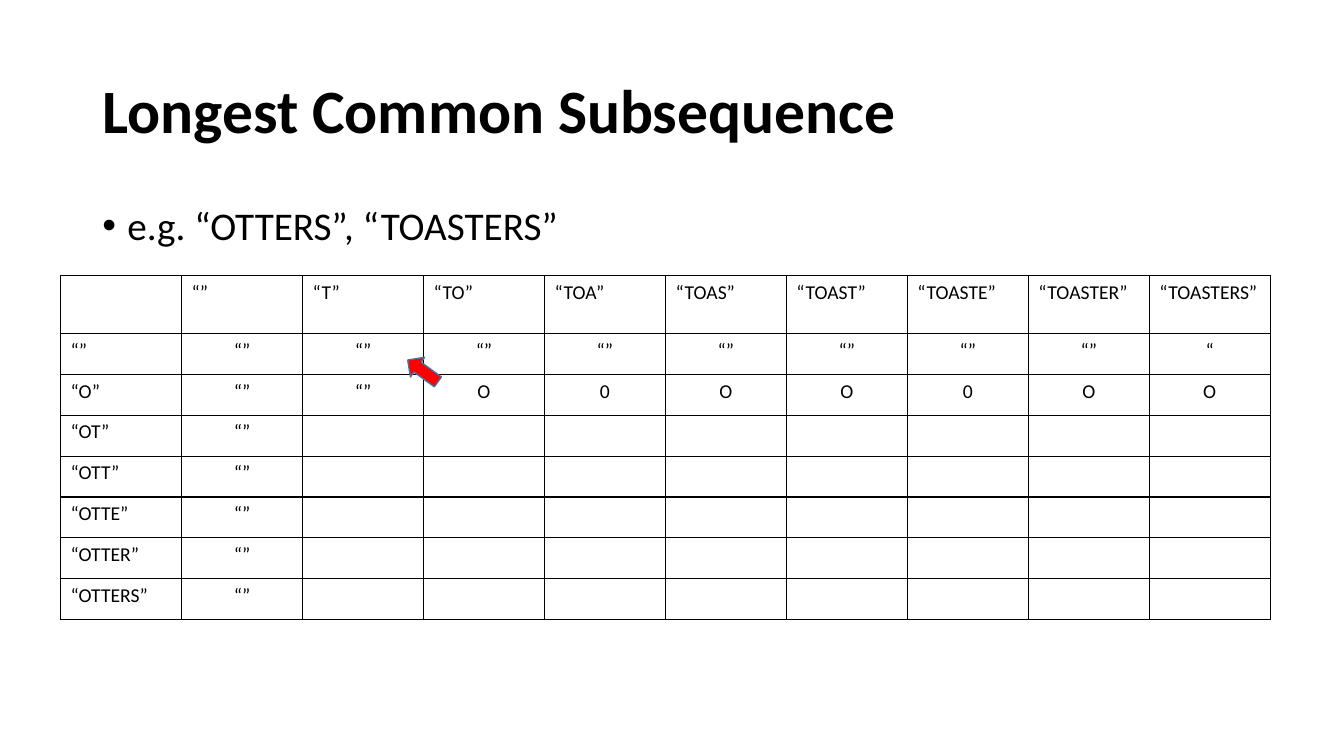
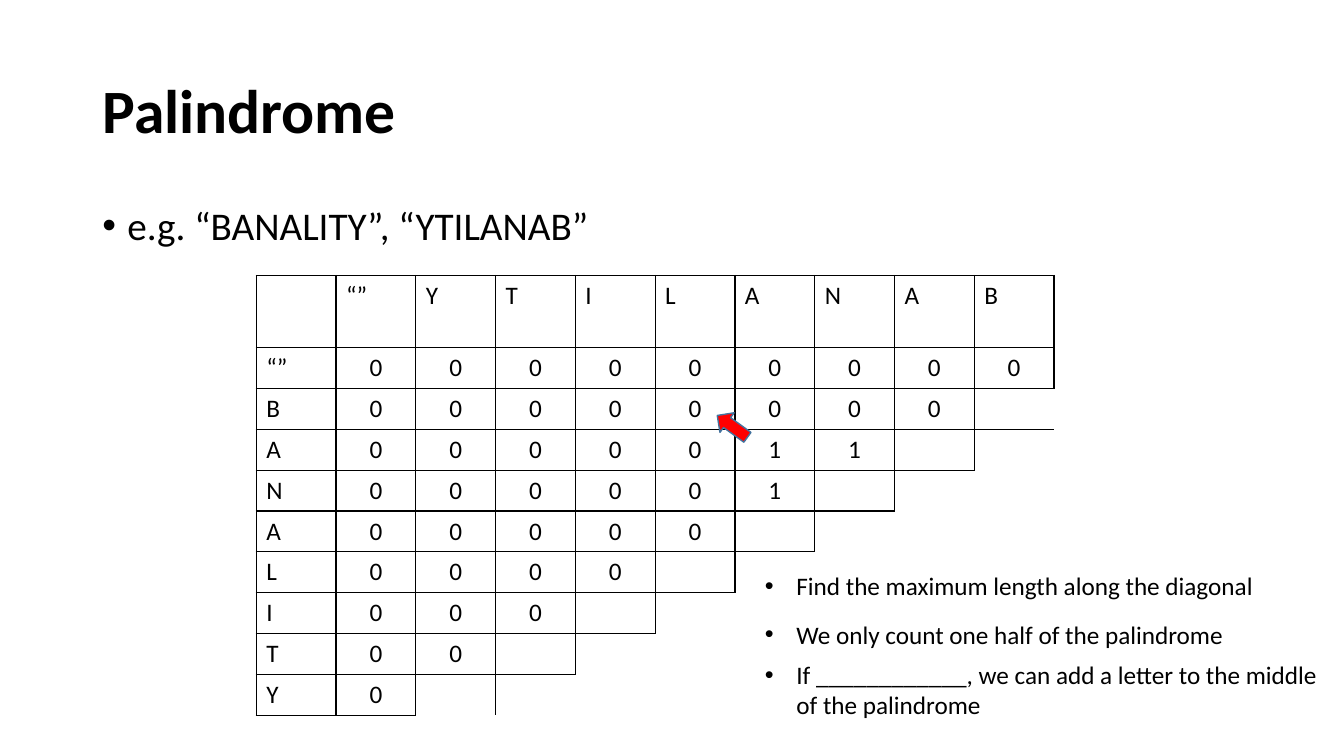
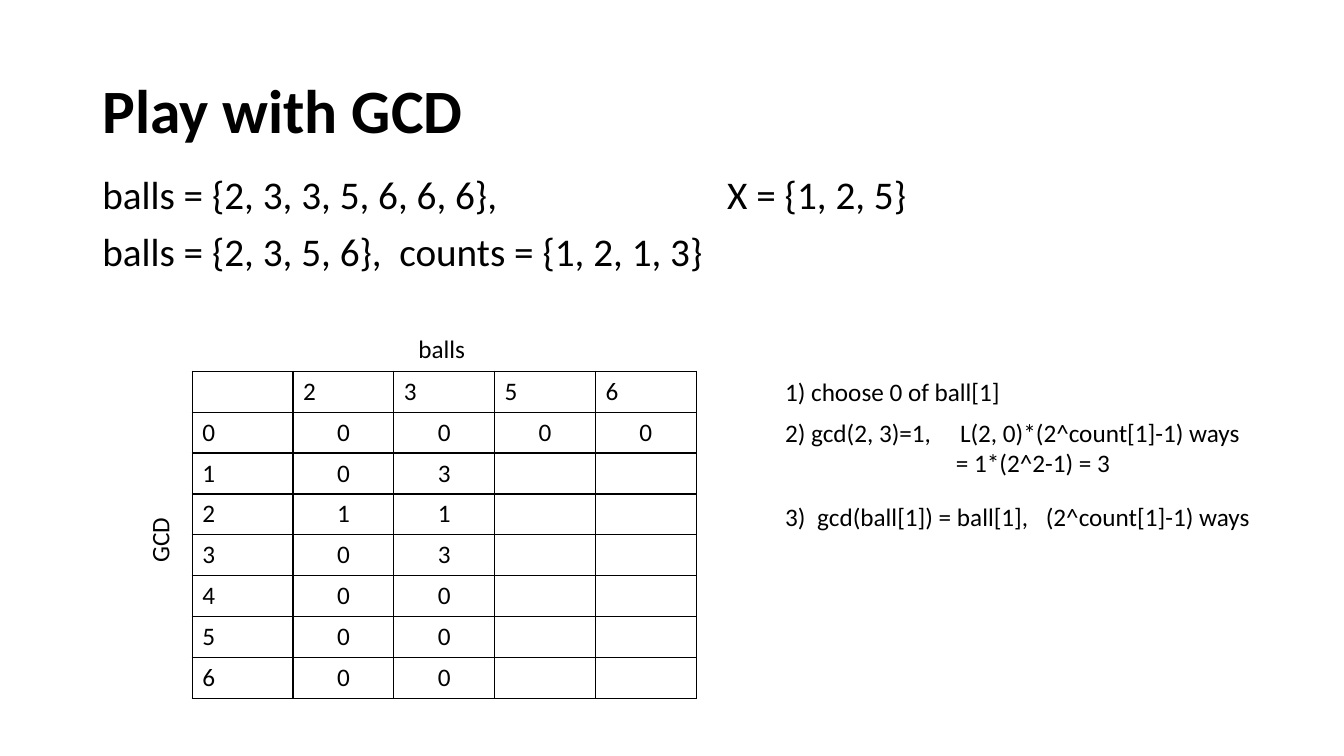
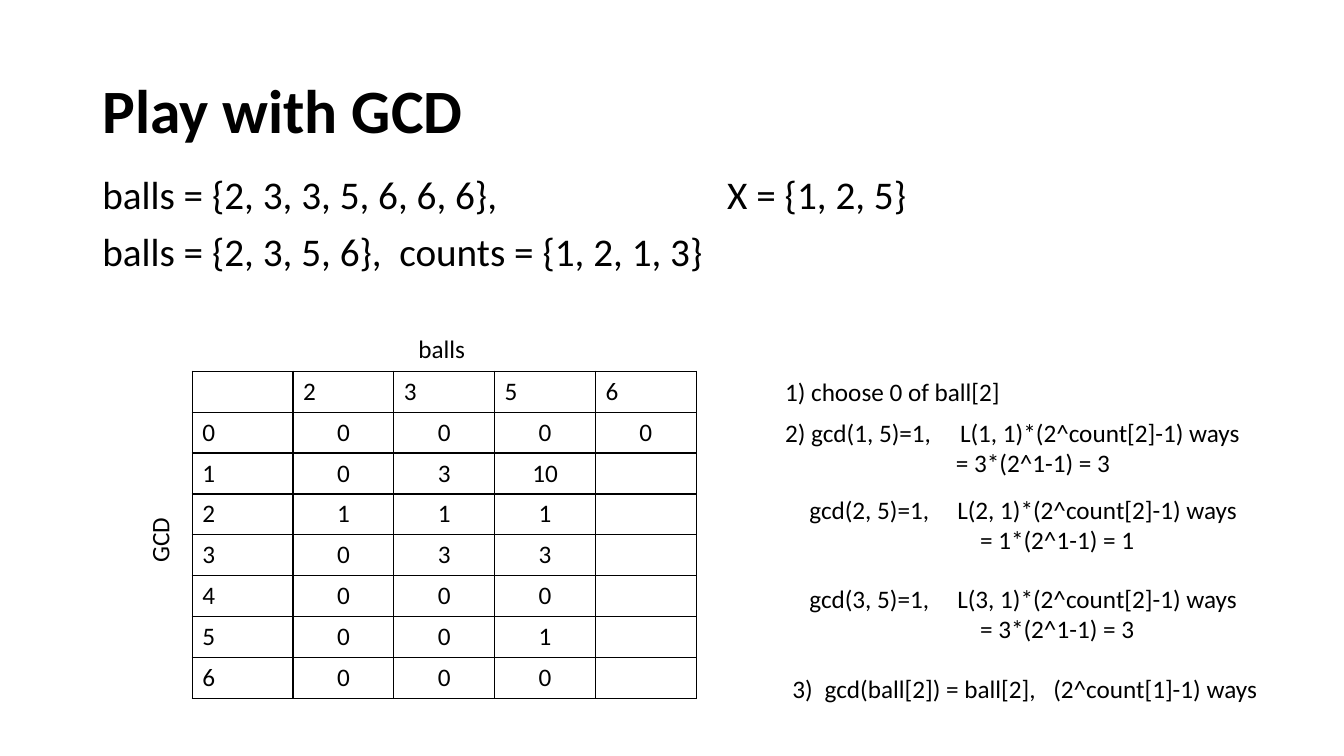
from lxml import etree
from pptx import Presentation
from pptx.dml.color import RGBColor
from pptx.enum import shapes, text
from pptx.oxml.ns import qn
from pptx.util import Pt

BLACK = RGBColor(0x00, 0x00, 0x00)
RED = RGBColor(0xFF, 0x00, 0x00)
ARROW_EDGE = RGBColor(0x43, 0x73, 0x9E)
FONT = "Calibri"
PLAIN_TABLE_STYLE = "{2D5ABB26-0587-4C30-8999-92F81FD0307C}"
TITLE_ONLY = 5
MARGIN = 66
ROW_HEIGHT = 29.2
EMPTY = "“”"


def place(shape, left, top, width, height):
    shape.left, shape.top = Pt(left), Pt(top)
    shape.width, shape.height = Pt(width), Pt(height)


def style(paragraph, size, bold=False):
    font = paragraph.font
    font.name, font.size, font.bold = FONT, Pt(size), bold
    font.color.rgb = BLACK


def add_titled_slide(presentation, title):
    slide = presentation.slides.add_slide(presentation.slide_layouts[TITLE_ONLY])
    place(slide.shapes.title, MARGIN, 28.8, 828, 104.4)
    frame = slide.shapes.title.text_frame
    frame.text = title
    frame.vertical_anchor = text.MSO_ANCHOR.MIDDLE
    paragraph = frame.paragraphs[0]
    paragraph.alignment = text.PP_ALIGN.LEFT
    paragraph.line_spacing = 0.9
    style(paragraph, 44, bold=True)
    return slide


def add_text(slide, box, lines, size=18, tabs=(), bullet_indent=0, next_indent=0):
    """Write one paragraph per line; lines after the first start at next_indent."""
    shape = slide.shapes.add_textbox(*map(Pt, box))
    frame = shape.text_frame
    frame.word_wrap = True
    for number, line in enumerate(lines):
        paragraph = frame.add_paragraph() if number else frame.paragraphs[0]
        paragraph.text = line
        properties = paragraph._p.get_or_add_pPr()
        if number:
            properties.set("marL", str(Pt(next_indent)))
        if bullet_indent:
            properties.set("marL", str(Pt(bullet_indent)))
            properties.set("indent", str(-Pt(bullet_indent)))
            etree.SubElement(properties, qn("a:buFont"), typeface="Arial")
            etree.SubElement(properties, qn("a:buChar"), char="•")
        if tabs:
            stops = etree.SubElement(properties, qn("a:tabLst"))
            for position in tabs:
                etree.SubElement(stops, qn("a:tab"), pos=str(Pt(position)), algn="l")
        style(paragraph, size)
    return shape


def add_example(slide, line):
    shape = add_text(slide, (MARGIN, 144, 828, 42.5), [line], 28, bullet_indent=18)
    shape.text_frame.paragraphs[0].line_spacing = 0.9


def set_borders(cell, sides):
    properties = cell._tc.get_or_add_tcPr()
    for side in sides:
        line = etree.SubElement(properties, qn(f"a:ln{side}"), w=str(Pt(1)))
        fill = etree.SubElement(line, qn("a:solidFill"))
        etree.SubElement(fill, qn("a:srgbClr"), val=str(BLACK))


def add_grid(slide, left, top, column_width, rows, size=18, header_height=ROW_HEIGHT):
    """Draw a table; a row shorter than the header leaves open space at its end."""
    columns = len(rows[0])
    heights = [header_height] + [ROW_HEIGHT] * (len(rows) - 1)
    frame = slide.shapes.add_table(len(rows), columns, Pt(left), Pt(top),
                                   Pt(column_width * columns), Pt(sum(heights)))
    frame.element.find(".//" + qn("a:tableStyleId")).text = PLAIN_TABLE_STYLE
    table = frame.table
    table.first_row = table.horz_banding = False
    for column in table.columns:
        column.width = Pt(column_width)
    for row_number, (values, height) in enumerate(zip(rows, heights)):
        table.rows[row_number].height = Pt(height)
        for column_number in range(columns):
            cell = table.cell(row_number, column_number)
            if column_number < len(values):
                cell.text = values[column_number]
                set_borders(cell, "LRTB")
            elif column_number == len(values):
                set_borders(cell, "LT")
            cell.fill.background()
            paragraph = cell.text_frame.paragraphs[0]
            if row_number and column_number:
                paragraph.alignment = text.PP_ALIGN.CENTER
            style(paragraph, size)


def add_diagonal_arrow(slide, left, top):
    arrow = slide.shapes.add_shape(shapes.MSO_SHAPE.RIGHT_ARROW,
                                   Pt(left), Pt(top), Pt(26.6), Pt(17.3))
    arrow.rotation = 215.9
    arrow.shadow.inherit = False
    arrow.fill.solid()
    arrow.fill.fore_color.rgb = RED
    arrow.line.color.rgb = ARROW_EDGE
    arrow.line.width = Pt(1)


def build_subsequence(presentation):
    slide = add_titled_slide(presentation, "Longest Common Subsequence")
    add_example(slide, "e.g. “OTTERS”, “TOASTERS”")

    def prefixes(word):
        return [f"“{word[:length]}”" for length in range(len(word) + 1)]

    header = ["", *prefixes("TOASTERS")]
    known = [[EMPTY] * 8 + ["“"], [EMPTY, EMPTY, *"O0OO0OO"]]
    known += [[EMPTY] + [""] * 8] * 5
    rows = [[prefix, *values] for prefix, values in zip(prefixes("OTTERS"), known)]
    add_grid(slide, 43.3, 196.8, 86.4, [header, *rows], 14, 41.4)
    add_diagonal_arrow(slide, 288.7, 256.3)


def build_palindrome(presentation):
    slide = add_titled_slide(presentation, "Palindrome")
    add_example(slide, "e.g. “BANALITY”, “YTILANAB”")
    labels = [EMPTY, *"BANALITY"]
    known = ["000000000", "00000000", "0000011", "000001",
             "00000", "0000", "000", "00", "0"]
    rows = [[label, *values] for label, values in zip(labels, known)]
    add_grid(slide, 183.1, 196.8, 57, [["", EMPTY, *"YTILANAB"], *rows],
             header_height=51.4)
    add_diagonal_arrow(slide, 509.8, 295.9)
    remarks = [
        (403.9, "Find the maximum length along the diagonal"),
        (438.5, "We only count one half of the palindrome"),
        (467.3, "If ____________, we can add a letter to the middle\nof the palindrome"),
    ]
    for top, remark in remarks:
        add_text(slide, (539.3, top, 418, 29), [remark], bullet_indent=22.5)


def add_gcd_grid(slide, left, top, known):
    rows = [[str(gcd), *values] for gcd, values in enumerate(known)]
    add_grid(slide, left, top, 72, [["", *"2356"], *rows])
    add_text(slide, (left + 154.4, top - 30.4, 54, 29), ["balls"])
    label = add_text(slide, (left - 50.8, top + 102, 54.7, 29), ["GCD"])
    label.rotation = 270


def build_gcd(presentation, known, steps):
    slide = add_titled_slide(presentation, "Play with GCD")
    add_text(slide, (MARGIN, 118.1, 828, 41),
             ["balls = {2, 3, 3, 5, 6, 6, 6},\tX = {1, 2, 5}"], 28, tabs=[446.4])
    add_text(slide, (MARGIN, 159.1, 828, 41),
             ["balls = {2, 3, 5, 6},\tcounts = {1, 2, 1, 3}"], 28, tabs=[212.2])
    add_gcd_grid(slide, 137.3, 265.2, known)
    for left, top, tabs, lines in steps:
        add_text(slide, (left, top, 390, 29 * len(lines)), lines,
                 tabs=tabs, next_indent=122)


def main():
    presentation = Presentation()
    presentation.slide_width, presentation.slide_height = Pt(960), Pt(540)
    build_subsequence(presentation)
    build_palindrome(presentation)

    steps_left, case_left = 553.7, 571
    numbered_tabs, case_tabs, last_tabs = [125], [105.7], [23, 186.3]
    build_gcd(
        presentation,
        [["0", "0", "0", "0"], ["0", "3", "", ""], ["1", "1", "", ""],
         ["0", "3", "", ""], *[["0", "0", "", ""]] * 3],
        [
            (steps_left, 265, (), ["1) choose 0 of ball[1]"]),
            (steps_left, 294.5, numbered_tabs,
             ["2) gcd(2, 3)=1,\tL(2, 0)*(2^count[1]-1) ways", "= 1*(2^2-1) = 3"]),
            (steps_left, 354.5, last_tabs,
             ["3)\tgcd(ball[1]) = ball[1],\t(2^count[1]-1) ways"]),
        ])
    build_gcd(
        presentation,
        [["0", "0", "0", "0"], ["0", "3", "10", ""], ["1", "1", "1", ""],
         ["0", "3", "3", ""], ["0", "0", "0", ""], ["0", "0", "1", ""],
         ["0", "0", "0", ""]],
        [
            (steps_left, 265, (), ["1) choose 0 of ball[2]"]),
            (steps_left, 294.5, numbered_tabs,
             ["2) gcd(1, 5)=1,\tL(1, 1)*(2^count[2]-1) ways", "= 3*(2^1-1) = 3"]),
            (case_left, 349.4, case_tabs,
             ["gcd(2, 5)=1,\tL(2, 1)*(2^count[2]-1) ways", "= 1*(2^1-1) = 1"]),
            (case_left, 413.3, case_tabs,
             ["gcd(3, 5)=1,\tL(3, 1)*(2^count[2]-1) ways", "= 3*(2^1-1) = 3"]),
            (559, 477.4, last_tabs,
             ["3)\tgcd(ball[2]) = ball[2],\t(2^count[1]-1) ways"]),
        ])
    presentation.save("out.pptx")


if __name__ == "__main__":
    main()
